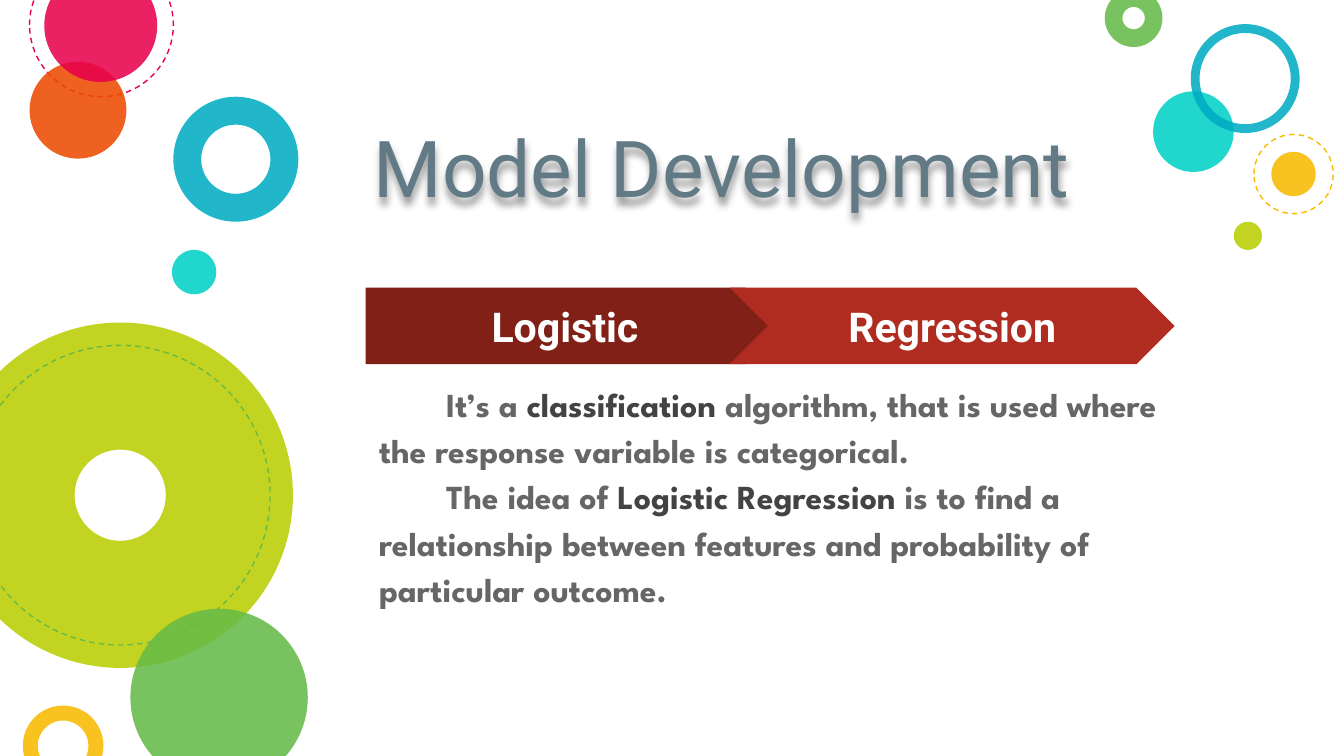
import dataclasses

import lxml.etree
import pptx
import pptx.dml.color
import pptx.enum.dml
import pptx.enum.shapes
import pptx.enum.text
import pptx.oxml.ns
import pptx.util

SHAPES = pptx.enum.shapes.MSO_SHAPE
ALIGN = pptx.enum.text.PP_ALIGN
ANCHOR = pptx.enum.text.MSO_ANCHOR


@dataclasses.dataclass(frozen=True)
class Theme:
    font: str = "Roboto"
    body_font: str = "League Spartan"
    title_size: int = 42
    step_size: int = 22
    body_size: int = 18
    title: str = "617A86"
    text: str = "666666"
    emphasis: str = "434343"
    white: str = "FFFFFF"
    shadow: str = "000000"
    dark_red: str = "802017"
    red: str = "B02C20"
    lime: str = "BBCD00"
    green: str = "65BB48"
    blue: str = "00ACC3"
    aqua: str = "00D1C6"
    yellow: str = "F8BB00"
    orange: str = "ED4A00"
    pink: str = "E8004C"
    bubble_opacity: int = 87


def rgb(value):
    return pptx.dml.color.RGBColor.from_string(value)


def add_element(parent, tag, **attributes):
    element = lxml.etree.SubElement(parent, pptx.oxml.ns.qn(tag))
    for name, value in attributes.items():
        element.set(name, str(value))
    return element


def add_text(paragraph, text, *, font, size, color, bold=False):
    run = paragraph.add_run()
    run.text = text
    run.font.name = font
    run.font.size = pptx.util.Pt(size)
    run.font.bold = bold
    run.font.color.rgb = rgb(color)


class SlideBuilder:
    """Places elements on a grid of square cells, 100 columns to the slide's width."""

    COLUMNS = 100

    def __init__(self, presentation, theme):
        self.theme = theme
        self.cell = presentation.slide_width / self.COLUMNS
        self.slide = presentation.slides.add_slide(presentation.slide_layouts[1])

    def box(self, *cells):
        return [round(value * self.cell) for value in cells]

    def place(self, shape, *cells):
        shape.left, shape.top, shape.width, shape.height = self.box(*cells)

    def frame(self, shape, anchor):
        frame = shape.text_frame
        frame.word_wrap = True
        frame.auto_size = pptx.enum.text.MSO_AUTO_SIZE.NONE
        frame.vertical_anchor = anchor
        inset = round(self.cell)
        frame.margin_left = frame.margin_right = inset
        frame.margin_top = frame.margin_bottom = inset
        return frame

    def shape(self, kind, cells, fill=None, adjustment=None):
        shape = self.slide.shapes.add_shape(kind, *self.box(*cells))
        shape.shadow.inherit = False
        shape.line.fill.background()
        if fill:
            shape.fill.solid()
            shape.fill.fore_color.rgb = rgb(fill)
        else:
            shape.fill.background()
        if adjustment is not None:
            shape.adjustments[0] = adjustment
        return shape

    def bubble(self, left, top, size, color, ring=None):
        """Translucent disc, or a donut when ring gives its thickness as a share."""
        kind = SHAPES.OVAL if ring is None else SHAPES.DONUT
        shape = self.shape(kind, (left, top, size, size), color, ring)
        color_element = shape._element.spPr.find(".//" + pptx.oxml.ns.qn("a:srgbClr"))
        add_element(color_element, "a:alpha", val=self.theme.bubble_opacity * 1000)

    def dashed_circle(self, left, top, size, color):
        shape = self.shape(SHAPES.OVAL, (left, top, size, size))
        shape.line.color.rgb = rgb(color)
        shape.line.width = pptx.util.Pt(0.75)
        shape.line.dash_style = pptx.enum.dml.MSO_LINE.DASH

    def step(self, kind, text, cells, fill):
        shape = self.shape(kind, cells, fill, 0.5)
        paragraph = self.frame(shape, ANCHOR.MIDDLE).paragraphs[0]
        paragraph.alignment = ALIGN.CENTER
        add_text(paragraph, text, font=self.theme.font, size=self.theme.step_size,
                 color=self.theme.white, bold=True)

    def title(self, text, cells):
        title = self.slide.shapes.title
        self.place(title, *cells)
        paragraph = self.frame(title, ANCHOR.BOTTOM).paragraphs[0]
        paragraph.alignment = ALIGN.LEFT
        add_text(paragraph, text, font=self.theme.font, size=self.theme.title_size,
                 color=self.theme.title)
        effects = add_element(title._element.spPr, "a:effectLst")
        shadow = add_element(effects, "a:outerShdw", blurRad=50800, dist=38100,
                             dir=5400000, algn="t", rotWithShape=0)
        shadow_color = add_element(shadow, "a:srgbClr", val=self.theme.shadow)
        add_element(shadow_color, "a:alpha", val=40000)

    def body(self, paragraphs, cells):
        """Each paragraph is a list of texts, plain and emphasized in turn."""
        body = self.slide.placeholders[1]
        self.place(body, *cells)
        frame = self.frame(body, ANCHOR.TOP)
        colors = self.theme.text, self.theme.emphasis
        for index, texts in enumerate(paragraphs):
            paragraph = frame.add_paragraph() if index else frame.paragraphs[0]
            paragraph.alignment = ALIGN.LEFT
            paragraph.line_spacing = 1.15
            paragraph.space_before = paragraph.space_after = pptx.util.Pt(0)
            properties = paragraph._p.get_or_add_pPr()
            properties.set("marL", "0")
            properties.set("indent", str(pptx.util.Inches(0.5)))
            add_element(properties, "a:buNone")
            for position, text in enumerate(texts):
                add_text(paragraph, text, font=self.theme.body_font,
                         size=self.theme.body_size, color=colors[position % 2], bold=True)


def main():
    presentation = pptx.Presentation()
    presentation.slide_width = pptx.util.Inches(10)
    presentation.slide_height = presentation.slide_width * 9 // 16
    theme = Theme()
    builder = SlideBuilder(presentation, theme)

    builder.bubble(-3.9, 24, 25.7, theme.lime, ring=0.368)
    builder.dashed_circle(2.2, -3.5, 10.7, theme.pink)
    for bubble in (
        (2.2, 4.6, 7.2, theme.orange),
        (12.9, 7.2, 9.3, theme.blue, 0.223),
        (9.7, 45.3, 13.2, theme.green),
        (1.7, 52.5, 6, theme.yellow, 0.186),
        (12.8, 18.6, 3.3, theme.aqua),
        (85.8, 6.8, 6, theme.aqua),
        (82.2, -0.8, 4.3, theme.green, 0.306),
        (94.6, 11.3, 3.3, theme.yellow),
        (88.6, 1.8, 8.1, theme.blue, 0.081),
        (91.8, 16.5, 2.1, theme.lime),
    ):
        builder.bubble(*bubble)
    builder.dashed_circle(-2.2, 25.7, 22.3, theme.green)
    builder.bubble(3.3, -2.3, 8.4, theme.pink)
    builder.dashed_circle(93.3, 10, 5.9, theme.yellow)

    builder.title("Model Development", (26.8, 7.3, 59.4, 9.6))
    builder.step(SHAPES.PENTAGON, "Logistic", (27.2, 21.4, 31.1, 5.7), theme.dark_red)
    builder.step(SHAPES.CHEVRON, "Regression", (54.3, 21.4, 33.1, 5.7), theme.red)
    builder.body([
        ["It’s a ", "classification",
         " algorithm, that is used where the response variable is categorical."],
        ["The idea of ", "Logistic Regression",
         " is to find a relationship between features and probability of particular outcome."],
    ], (27.2, 27.1, 60.3, 22.9))

    presentation.save("out.pptx")


if __name__ == "__main__":
    main()
